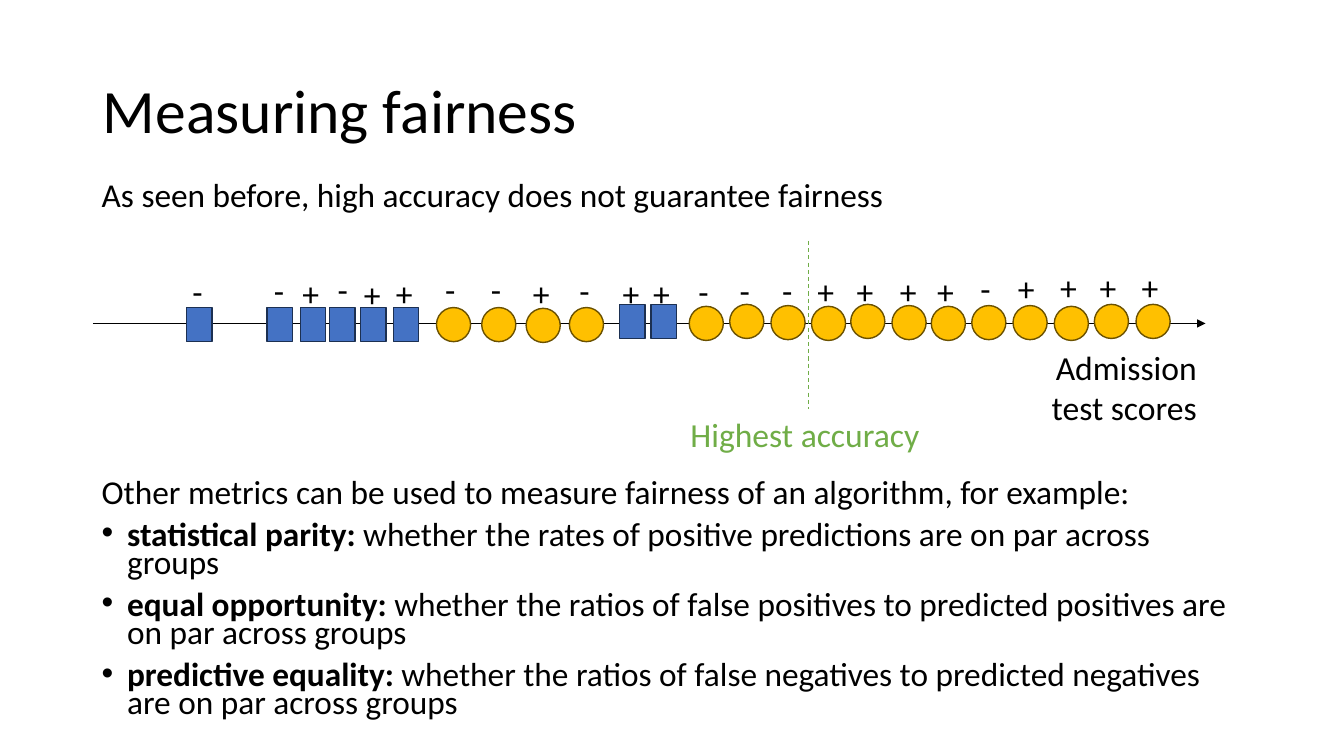
from lxml.etree import SubElement
from pptx import Presentation
from pptx.dml.color import RGBColor
from pptx.enum.dml import MSO_LINE
from pptx.enum.shapes import MSO_CONNECTOR, MSO_SHAPE
from pptx.enum.text import MSO_ANCHOR, MSO_AUTO_SIZE, PP_ALIGN
from pptx.oxml.ns import qn
from pptx.util import Cm, Pt

TITLE = "Measuring fairness"
INTRO = "As seen before, high accuracy does not guarantee fairness"
METRICS_LEAD = "Other metrics can be used to measure fairness of an algorithm, for example:"
METRICS = [
    ("statistical parity: ",
     "whether the rates of positive predictions are on par across groups"),
    ("equal opportunity: ",
     "whether the ratios of false positives to predicted positives are on par across groups"),
    ("predictive equality: ",
     "whether the ratios of false negatives to predicted negatives are on par across groups"),
]
AXIS_LABEL = "Admission test scores"
THRESHOLD_LABEL = "Highest accuracy"

# group, left and top of the marker, outcome, left and top of the outcome (cm)
CANDIDATES = [
    ("square", 4.70, 7.75, "-", 4.60, 6.71),
    ("square", 6.73, 7.75, "-", 6.65, 6.68),
    ("square", 7.57, 7.75, "+", 7.37, 6.76),
    ("square", 8.31, 7.75, "-", 8.26, 6.65),
    ("square", 9.09, 7.75, "+", 8.92, 6.78),
    ("square", 9.91, 7.75, "+", 9.73, 6.76),
    ("circle", 11.00, 7.75, "-", 10.97, 6.65),
    ("circle", 12.14, 7.75, "-", 12.12, 6.65),
    ("circle", 13.26, 7.77, "+", 13.18, 6.76),
    ("circle", 14.35, 7.75, "-", 14.35, 6.68),
    ("square", 15.62, 7.67, "+", 15.44, 6.76),
    ("square", 16.41, 7.67, "+", 16.21, 6.76),
    ("circle", 17.37, 7.72, "-", 17.35, 6.71),
    ("circle", 18.39, 7.67, "-", 18.39, 6.68),
    ("circle", 19.43, 7.70, "-", 19.46, 6.68),
    ("circle", 20.45, 7.72, "+", 20.35, 6.71),
    ("circle", 21.44, 7.67, "+", 21.34, 6.71),
    ("circle", 22.48, 7.70, "+", 22.43, 6.71),
    ("circle", 23.47, 7.72, "+", 23.37, 6.71),
    ("circle", 24.49, 7.70, "-", 24.46, 6.63),
    ("circle", 25.53, 7.70, "+", 25.40, 6.63),
    ("circle", 26.57, 7.72, "+", 26.47, 6.60),
    ("circle", 27.58, 7.67, "+", 27.46, 6.60),
    ("circle", 28.63, 7.67, "+", 28.52, 6.60),
]

COLORS = {
    "text": "000000",
    "square": "4472C4", "square_edge": "1C3052",
    "circle": "FFC000", "circle_edge": "6B5100",
    "threshold": "70AD47",
}
MARKERS = {"square": (MSO_SHAPE.RECTANGLE, 0.64), "circle": (MSO_SHAPE.OVAL, 0.86)}
MARKER_HEIGHT = 0.86
OUTCOME_WIDTH = {"+": 0.94, "-": 0.79}
LABEL_HEIGHT = 1.27
AXIS_Y = 8.15
THRESHOLD_X = 20.37
DIAGRAM_GAP = 192  # points kept free in the body for the diagram
BULLET_INDENT = Cm(0.64)


def rgb(name):
    return RGBColor.from_string(COLORS[name])


def apply_format(target, **values):
    for attribute, value in values.items():
        setattr(target, attribute, value)


def format_font(font, size, color="text"):
    apply_format(font, name="Calibri", size=Pt(size))
    font.color.rgb = rgb(color)


def place(shape, left, top, width, height):
    apply_format(shape, left=Cm(left), top=Cm(top), width=Cm(width), height=Cm(height))


def set_bullet(paragraph, bulleted):
    properties = paragraph._p.get_or_add_pPr()
    indent = BULLET_INDENT if bulleted else 0
    properties.set("marL", str(indent))
    properties.set("indent", str(-indent))
    if bulleted:
        SubElement(properties, qn("a:buFont"), typeface="Arial")
        SubElement(properties, qn("a:buChar"), char="•")
    else:
        SubElement(properties, qn("a:buNone"))


def add_label(slide, text, left, top, width, height=LABEL_HEIGHT,
              color="text", align=PP_ALIGN.LEFT):
    frame = slide.shapes.add_textbox(Cm(left), Cm(top), Cm(width), Cm(height)).text_frame
    apply_format(frame, word_wrap=True, text=text)
    frame.paragraphs[0].alignment = align
    format_font(frame.paragraphs[0].runs[0].font, 24, color)


def add_line(slide, start, end, width, color):
    connector = slide.shapes.add_connector(
        MSO_CONNECTOR.STRAIGHT, *(Cm(value) for value in start + end))
    connector.line.width = Pt(width)
    connector.line.color.rgb = rgb(color)
    SubElement(connector._element.spPr, qn("a:effectLst"))
    return connector.line


def write_title(slide):
    title = slide.shapes.title
    place(title, 2.34, 1.02, 29.21, 3.68)
    apply_format(title.text_frame, text=TITLE, word_wrap=True,
                 auto_size=MSO_AUTO_SIZE.NONE, vertical_anchor=MSO_ANCHOR.MIDDLE)
    heading = title.text_frame.paragraphs[0]
    apply_format(heading, alignment=PP_ALIGN.LEFT, line_spacing=0.9)
    format_font(heading.runs[0].font, 44)


def write_body(slide):
    body = slide.placeholders[1]
    place(body, 2.31, 4.55, 29.21, 13.97)
    frame = body.text_frame
    apply_format(frame, word_wrap=True, auto_size=MSO_AUTO_SIZE.NONE)
    rows = [("", INTRO, 0), ("", METRICS_LEAD, DIAGRAM_GAP)]
    rows += [(term, meaning, 10) for term, meaning in METRICS]
    for index, (term, meaning, space) in enumerate(rows):
        paragraph = frame.add_paragraph() if index else frame.paragraphs[0]
        set_bullet(paragraph, bool(term))
        apply_format(paragraph, line_spacing=0.7, space_before=Pt(space), space_after=Pt(0))
        for text, bold in ((term, True), (meaning, False)):
            if text:
                run = paragraph.add_run()
                run.text = text
                format_font(run.font, 23.8)
                run.font.bold = bold


def draw_score_axis(slide):
    axis = add_line(slide, (2.34, AXIS_Y), (30.38, AXIS_Y), 1, "text")
    SubElement(axis._get_or_add_ln(), qn("a:tailEnd"), type="triangle")
    add_label(slide, AXIS_LABEL, 24.97, 8.61, 5.44, 2.31, align=PP_ALIGN.RIGHT)


def draw_candidates(slide):
    for group, left, top, *_ in CANDIDATES:
        preset, width = MARKERS[group]
        marker = slide.shapes.add_shape(
            preset, Cm(left), Cm(top), Cm(width), Cm(MARKER_HEIGHT))
        marker.shadow.inherit = False
        marker.fill.solid()
        marker.fill.fore_color.rgb = rgb(group)
        marker.line.color.rgb = rgb(group + "_edge")
        marker.line.width = Pt(1)
    for *_, outcome, left, top in CANDIDATES:
        add_label(slide, outcome, left, top, OUTCOME_WIDTH[outcome])


def draw_threshold(slide):
    threshold = add_line(slide, (THRESHOLD_X, 6.07), (THRESHOLD_X, 10.31), 0.75, "threshold")
    threshold.dash_style = MSO_LINE.DASH
    add_label(slide, THRESHOLD_LABEL, 17.15, 10.31, 6.35, color="threshold")


def main():
    presentation = Presentation()
    apply_format(presentation, slide_width=Cm(33.87), slide_height=Cm(19.05))
    slide = presentation.slides.add_slide(presentation.slide_layouts[1])
    for build in (write_title, write_body, draw_score_axis, draw_candidates, draw_threshold):
        build(slide)
    presentation.save("out.pptx")


if __name__ == "__main__":
    main()
